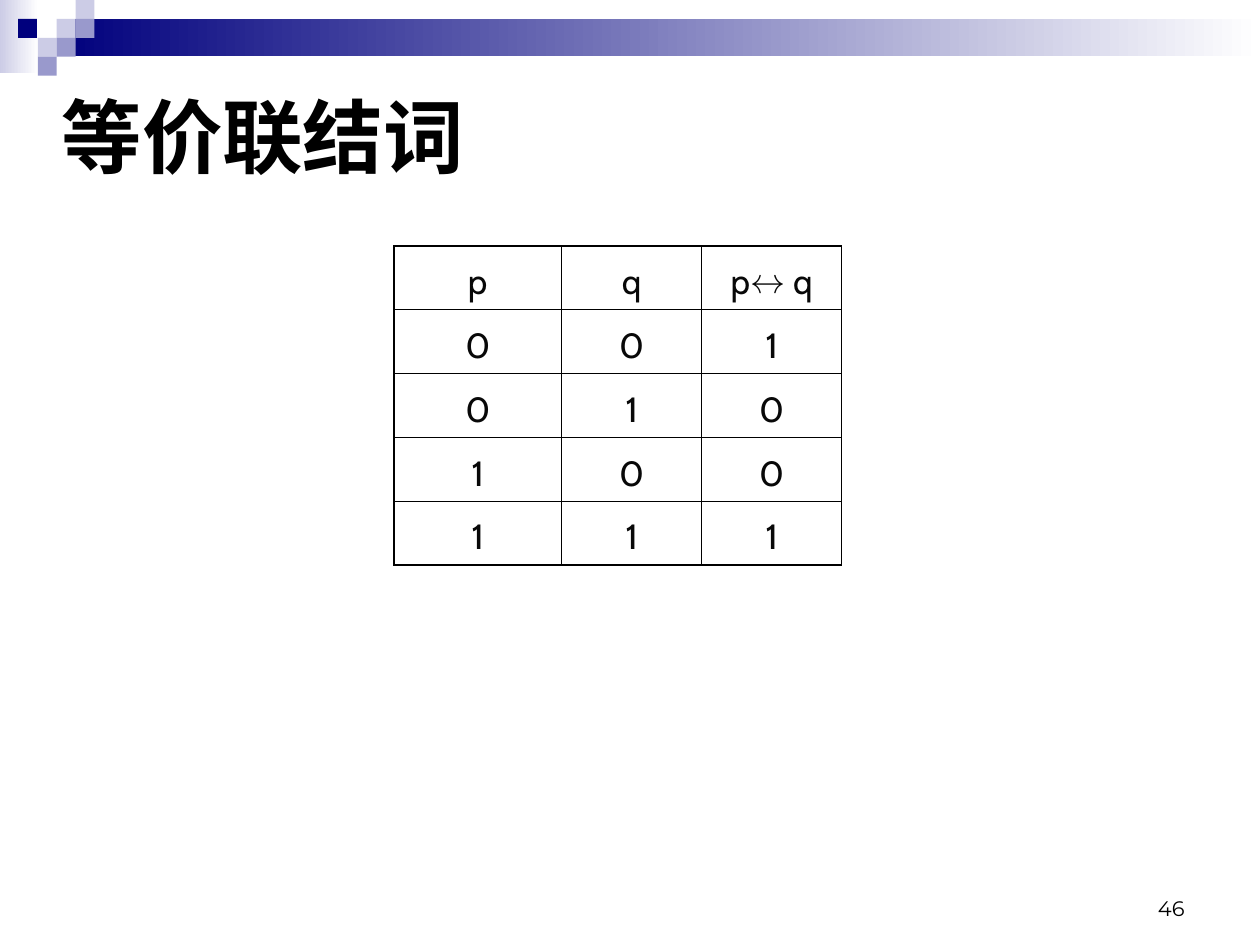
"""Builds a slide with the truth table of the biconditional connective."""
import lxml.etree
import pptx
import pptx.dml.color
import pptx.enum.shapes
import pptx.enum.text
import pptx.oxml.ns
import pptx.util

Pt = pptx.util.Pt
ALIGN = pptx.enum.text.PP_ALIGN
ANCHOR = pptx.enum.text.MSO_ANCHOR
NAVY, LAVENDER, PERIWINKLE, WHITE = "00007D", "CCCCE6", "9999CC", "FFFFFF"
BLACK = "000000"
TILE = 10.8
TILES = [
    (32.4, 10.8, LAVENDER), (43.2, 0, LAVENDER), (43.2, 10.8, PERIWINKLE),
    (21.6, 21.6, LAVENDER), (10.3, 10.8, NAVY), (32.4, 21.6, PERIWINKLE),
    (21.6, 32.4, PERIWINKLE),
]
TRUTH_TABLE = [
    ("p", "q", "p↔ q"),
    ("0", "0", "1"),
    ("0", "1", "0"),
    ("1", "0", "0"),
    ("1", "1", "1"),
]
COLUMN_WIDTHS = (96, 80, 80)
ROW_HEIGHT = 36


def rgb(value):
    """Return the colour for a hex string."""
    return pptx.dml.color.RGBColor.from_string(value)


def write(frame, text, *, font, size, color=BLACK, bold=False,
          align=ALIGN.LEFT, spacing=1.0):
    """Put one formatted paragraph into a text frame."""
    paragraph = frame.paragraphs[0]
    paragraph.alignment = align
    paragraph.line_spacing = spacing
    paragraph.space_before = Pt(0)
    run = paragraph.add_run()
    run.text = text
    run.font.name, run.font.size, run.font.bold = font, Pt(size), bold
    run.font.color.rgb = rgb(color)
    east_asian = lxml.etree.SubElement(run.font._element, pptx.oxml.ns.qn("a:ea"))
    east_asian.set("typeface", font)


def add_block(slide, left, top, width, height, *colors):
    """Add a rectangle in one colour, or fading across two colours."""
    block = slide.shapes.add_shape(
        pptx.enum.shapes.MSO_SHAPE.RECTANGLE,
        Pt(left), Pt(top), Pt(width), Pt(height))
    block.shadow.inherit = False
    block.line.fill.background()
    if len(colors) == 1:
        block.fill.solid()
        block.fill.fore_color.rgb = rgb(colors[0])
    else:
        block.fill.gradient()
        block.fill.gradient_angle = 0
        for stop, color in zip(block.fill.gradient_stops, colors):
            stop.color.rgb = rgb(color)


def add_banner(slide):
    """Add the fading band and its mosaic of tiles."""
    add_block(slide, 0, 0, 22, 41.8, LAVENDER, WHITE)
    add_block(slide, 32.4, 10.8, 687.6, 21.4, NAVY, WHITE)
    for left, top, color in TILES:
        add_block(slide, left, top, TILE, TILE, color)


def add_title(slide, text):
    """Place and fill the title placeholder."""
    title = slide.shapes.title
    title.left, title.top, title.width, title.height = map(Pt, (28, 44.6, 564, 66))
    title.text_frame.vertical_anchor = ANCHOR.MIDDLE
    title.text_frame.auto_size = pptx.enum.text.MSO_AUTO_SIZE.NONE
    write(title.text_frame, text, font="Noto Sans CJK SC", size=46, bold=True)


def outline_cell(cell):
    """Draw a thin black line on every side of a cell."""
    properties = cell._tc.get_or_add_tcPr()
    for position, side in enumerate(("lnL", "lnR", "lnT", "lnB")):
        line = pptx.oxml.parse_xml(
            f'<a:{side} {pptx.oxml.ns.nsdecls("a")} w="{Pt(1)}"><a:solidFill>'
            f'<a:srgbClr val="{BLACK}"/></a:solidFill></a:{side}>')
        properties.insert(position, line)


def add_truth_table(slide):
    """Add the truth table with its outlined cells."""
    table = slide.shapes.add_table(
        len(TRUTH_TABLE), len(COLUMN_WIDTHS), Pt(225), Pt(140.5),
        Pt(sum(COLUMN_WIDTHS)), Pt(ROW_HEIGHT * len(TRUTH_TABLE))).table
    table.first_row = table.horz_banding = False
    for column, width in zip(table.columns, COLUMN_WIDTHS):
        column.width = Pt(width)
    for row, values in zip(table.rows, TRUTH_TABLE):
        row.height = Pt(ROW_HEIGHT)
        for cell, value in zip(row.cells, values):
            cell.fill.background()
            cell.vertical_anchor = ANCHOR.MIDDLE
            outline_cell(cell)
            write(cell.text_frame, value, font="Cabin", size=20,
                  color="080808", align=ALIGN.CENTER, spacing=1.2)


def add_page_number(slide, number):
    """Add the page number at the lower right."""
    frame = slide.shapes.add_textbox(Pt(516), Pt(492), Pt(168), Pt(37.5)).text_frame
    frame.word_wrap = True
    frame.vertical_anchor = ANCHOR.BOTTOM
    write(frame, number, font="Montserrat", size=12, align=ALIGN.RIGHT)


def main():
    """Build and save the slide."""
    deck = pptx.Presentation()
    deck.slide_width, deck.slide_height = Pt(720), Pt(540)
    slide = deck.slides.add_slide(deck.slide_layouts.get_by_name("Title Only"))
    add_banner(slide)
    add_title(slide, "等价联结词")
    add_truth_table(slide)
    add_page_number(slide, "46")
    deck.save("out.pptx")


if __name__ == "__main__":
    main()
